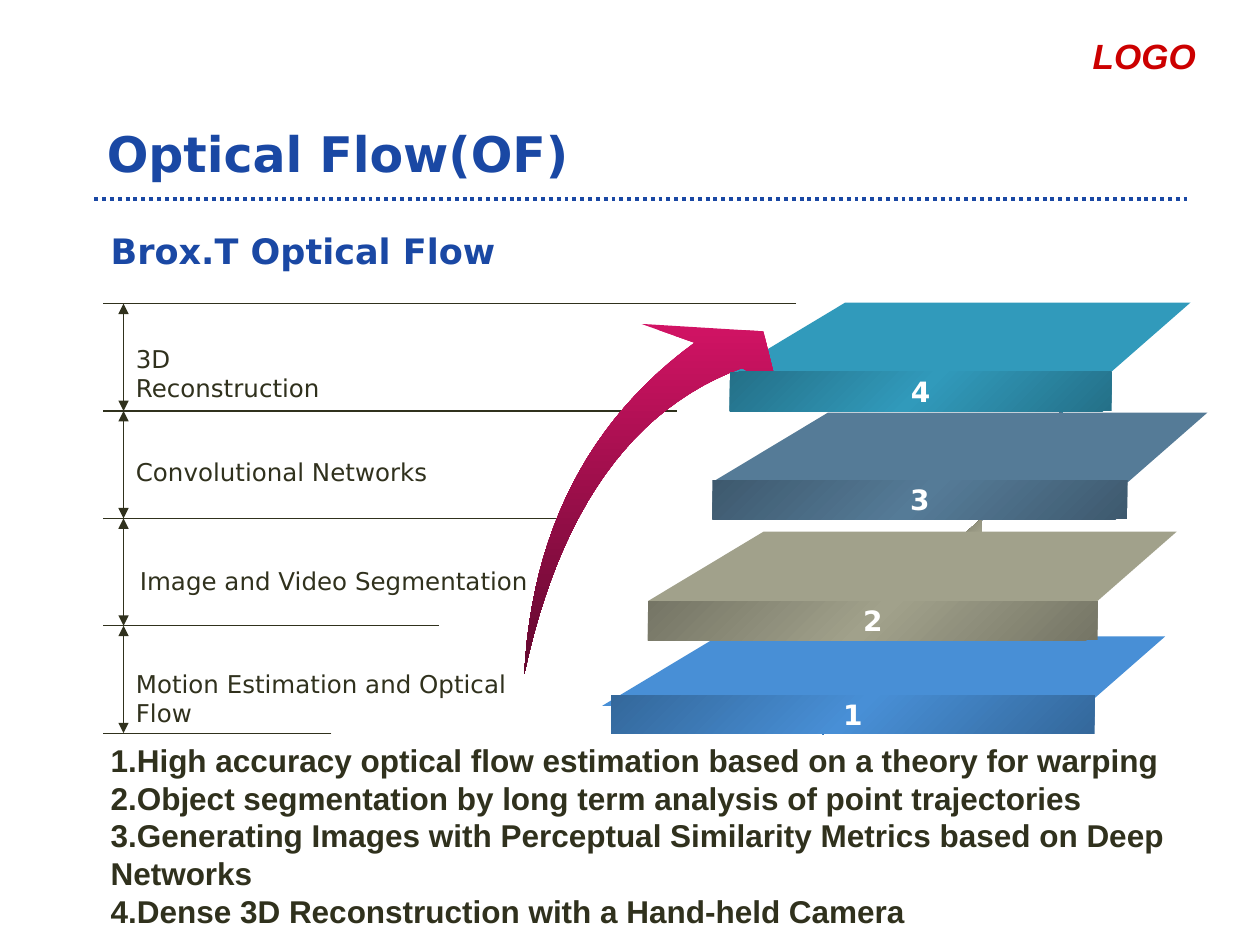
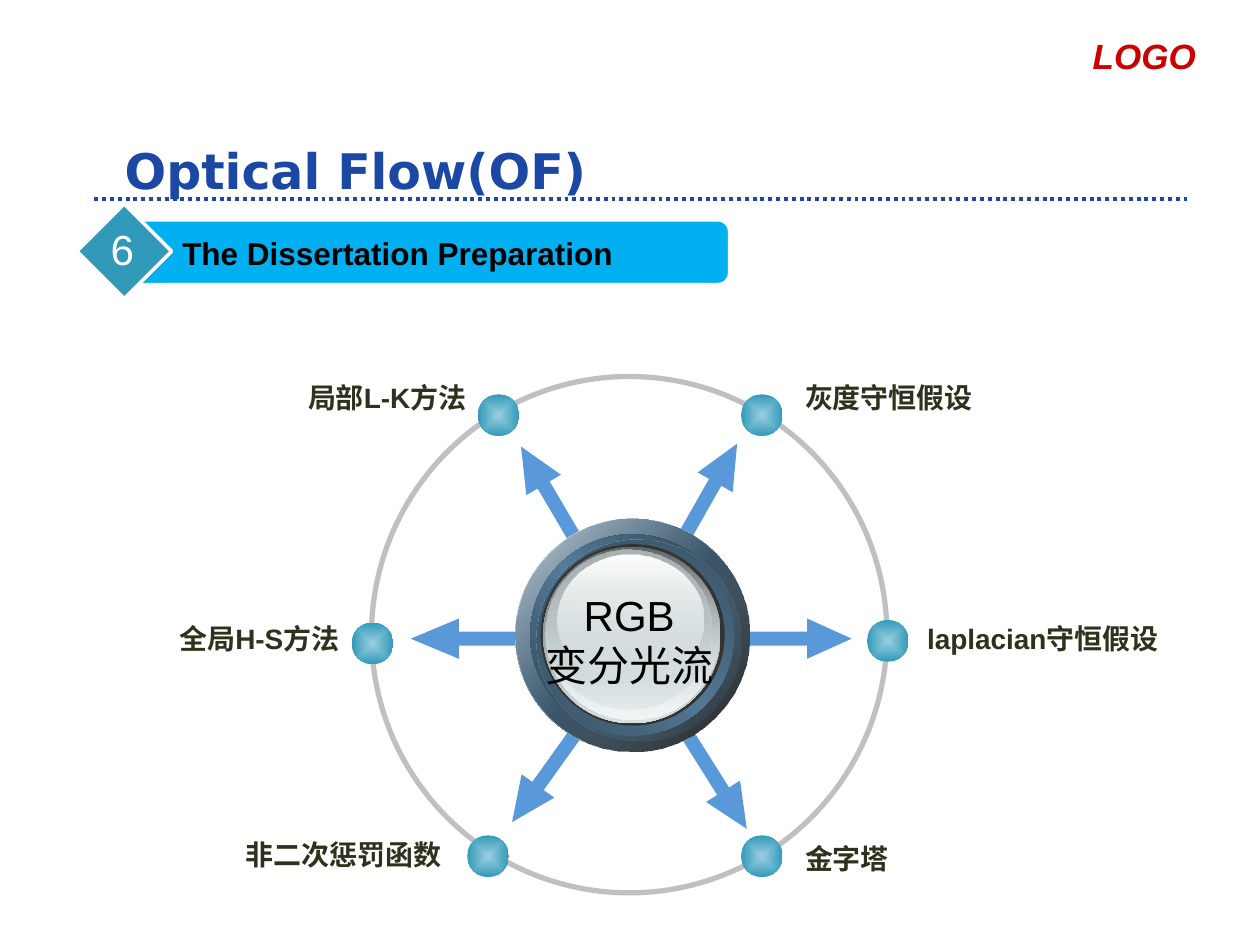
from pptx import Presentation
from pptx.dml.color import RGBColor as RGB
from pptx.enum.dml import MSO_LINE as Dash
from pptx.enum.shapes import MSO_CONNECTOR as Conn, MSO_SHAPE as Kind
from pptx.enum.text import MSO_ANCHOR as Anchor, MSO_AUTO_SIZE as Fit, PP_ALIGN as Align
from pptx.oxml import parse_xml
from pptx.oxml.ns import nsdecls, qn
from pptx.util import Cm, Pt

INK = {
    "title": "1A48A4", "text": "30311D", "logo": "CC0000", "white": "FFFFFF",
    "black": "000000", "sky": "00B0F0", "teal": "319ABB", "pale": "9BCEDE",
    "steel": "557B97", "sand": "A1A18B", "blue": "488FD6", "ring": "C0C0C0",
    "teal_dim": "247088", "steel_dim": "3E596E", "sand_dim": "757565", "blue_dim": "34689B",
    "teal_deep": "174757", "steel_deep": "273946", "sand_deep": "4B4B40", "blue_deep": "214263",
    "pink": "D11364", "wine": "61092E", "rim": "2E4352", "rim_lit": "364E60",
    "coal": "333333", "lead": "636869", "glass": "D6E1E2", "frost": "F1F5F5", "ash": "AAB2B3",
}
HEAD, BODY = "DejaVu Sans", "Arial"
TOP, STEP = 6.12, 2.165  # first level and gap between levels, cm


def ink(name):
    return RGB.from_string(INK[name])


def tint(name, alpha=100):
    return f'<a:srgbClr val="{INK[name]}"><a:alpha val="{alpha * 1000}"/></a:srgbClr>'


def flat(name, alpha=100):
    return f'<a:solidFill {nsdecls("a")}>{tint(name, alpha)}</a:solidFill>'


def blend(*stops, angle=None):
    """Gradient of evenly spaced (name, alpha) stops; from the centre if no angle."""
    last = len(stops) - 1
    marks = "".join(f'<a:gs pos="{100000 * i // last}">{tint(*s)}</a:gs>'
                    for i, s in enumerate(stops))
    if angle is None:
        way = ('<a:path path="rect"><a:fillToRect l="50000" t="50000" '
               'r="50000" b="50000"/></a:path>')
    else:
        way = f'<a:lin ang="{angle * 60000}" scaled="0"/>'
    return f'<a:gradFill {nsdecls("a")}><a:gsLst>{marks}</a:gsLst>{way}</a:gradFill>'


def sheen(edge, core, angle=45):
    return blend((edge,), (core,), (edge,), angle=angle)


def paint(shape, fill, line=None):
    """Set the fill XML and an optional (colour, width) line."""
    shape.shadow.inherit = False
    if fill:
        shape.fill.solid()
        props = shape.element.spPr
        props.replace(props.find(qn("a:solidFill")), parse_xml(fill))
    else:
        shape.fill.background()
    if line:
        shape.line.color.rgb, shape.line.width = ink(line[0]), Pt(line[1])
    else:
        shape.line.fill.background()
    return shape


def form(slide, kind, box, fill, line=None):
    return paint(slide.shapes.add_shape(kind, *map(Cm, box)), fill, line)


def shape_of(slide, points, fill):
    """Closed outline through points given in cm."""
    first, *rest = [(Cm(x), Cm(y)) for x, y in points]
    pen = slide.shapes.build_freeform(*first, scale=1.0)
    pen.add_line_segments(rest, close=True)
    return paint(pen.convert_to_shape(), fill)


def rule(slide, start, end, color, width, dash=None, heads=False):
    line = slide.shapes.add_connector(Conn.STRAIGHT, *map(Cm, (*start, *end)))
    line.line.color.rgb, line.line.width = ink(color), Pt(width)
    if dash:
        line.line.dash_style = dash
    props = line.element.spPr
    if heads:
        for tag in ("headEnd", "tailEnd"):
            props.find(qn("a:ln")).append(
                parse_xml(f'<a:{tag} {nsdecls("a")} type="triangle"/>'))
    props.append(parse_xml(f'<a:effectLst {nsdecls("a")}/>'))


def write(shape, lines, size, color, font=BODY, bold=False, slant=False,
          align=Align.LEFT, anchor=Anchor.TOP, wrap=True):
    frame = shape.text_frame
    frame.word_wrap, frame.vertical_anchor = wrap, anchor
    frame.auto_size = Fit.NONE
    for i, line in enumerate(lines):
        para = frame.add_paragraph() if i else frame.paragraphs[0]
        para.alignment = align
        run = para.add_run()
        run.text = line
        face = run.font
        face.name, face.size, face.bold, face.italic = font, Pt(size), bold, slant
        face.color.rgb = ink(color)


def label(slide, box, lines, size, color, **style):
    write(slide.shapes.add_textbox(*map(Cm, box)), lines, size, color, **style)


def start(deck, left, top):
    """New slide with the shared title, dotted rule and corner mark."""
    slide = deck.slides.add_slide(deck.slide_layouts[5])
    title = slide.shapes.title
    title.left, title.top, title.width, title.height = map(Cm, (left, top, 18.85, 1.47))
    write(title, ["Optical Flow(OF)"], 28, "title", font=HEAD, bold=True,
          anchor=Anchor.MIDDLE)
    rule(slide, (1.9, 4.01), (23.93, 4.01), "title", 2.25, Dash.ROUND_DOT)
    label(slide, (16.31, 0.58, 8.05, 0.69), ["LOGO"], 20, "logo",
          bold=True, slant=True, align=Align.RIGHT)
    return slide


def levels(slide):
    ends = (16.05, 13.64, 11.38, 8.84, 6.68)
    rows = [TOP + STEP * i for i in range(len(ends))]
    for end, y in zip(ends, rows):
        rule(slide, (end, y), (2.08, y), "text", 0.75)
    for y, below in zip(rows, rows[1:]):
        rule(slide, (2.49, y), (2.49, below), "text", 0.75, heads=True)
    for text, x, y, wide in (
            ("3D Reconstruction", 2.49, 6.81, 5.05),
            ("Convolutional Networks", 2.49, 9.09, 9.4),
            ("Image and Video Segmentation", 2.57, 11.28, 8.5),
            ("Motion Estimation and Optical Flow", 2.49, 13.36, 9.22)):
        label(slide, (x, y, wide, 0.86), [text], 14, "text", font=HEAD)


def bend(begin, pull, end, count=24):
    """Points along a quadratic curve."""
    steps = [i / count for i in range(count + 1)]
    return [tuple((1 - t) ** 2 * a + 2 * t * (1 - t) * b + t * t * c
                  for a, b, c in zip(begin, pull, end)) for t in steps]


def swoosh(slide):
    tail = (10.57, 13.59)
    outer = bend(tail, (10.8, 9.27), (14, 6.91))
    head = [(12.93, 6.53), (15.39, 6.68), (15.67, 7.82)]
    inner = bend((14.96, 7.42), (11.63, 8.64), tail)
    shape_of(slide, outer + head + inner[:-1], blend(("pink",), ("wine",), angle=90))


def stack(slide):
    # colour, left of lid, right of lid, top of lid, box of front
    slabs = (("teal", 14.71, 22.4, 6.1, (14.71, 7.5, 7.7, 0.79)),
             ("steel", 14.36, 22.74, 8.32, (14.36, 9.68, 8.37, 0.79)),
             ("sand", 13.06, 22.12, 10.72, (13.06, 12.12, 9.07, 0.79)),
             ("blue", 12.14, 21.89, 12.83, (12.32, 14.02, 9.75, 0.77)))
    for i, (hue, *_) in enumerate(slabs):
        x, y = 21.41 - 1.61 * i, TOP + STEP * i
        shape_of(slide, [(x + 1.6, y + 0.61), (x, y + 2.2), (x, y + 1.42), (x + 1.6, y)],
                 sheen(hue + "_deep", hue))
    for hue, left, right, y, _ in slabs:
        shape_of(slide, [(right, y + 1.4), (left, y + 1.4), (left + 2.33, y),
                         (right + 1.6, y)], flat(hue))
    swoosh(slide)
    for i, (hue, *_, box) in enumerate(slabs):
        front = form(slide, Kind.RECTANGLE, box, sheen(hue + "_dim", hue))
        write(front, [str(len(slabs) - i)], 16, "white", font=HEAD, bold=True,
              align=Align.CENTER, anchor=Anchor.MIDDLE, wrap=False)


def spokes(slide):
    for x, y, wide, turn in ((13.21, 9.5, 2.21, 299.6), (13.36, 15.37, 2.21, 57.8),
                             (9.96, 9.55, 2.21, 239.5), (9.86, 15.27, 2.21, 125.6),
                             (14.96, 12.47, 2.21, 0), (8.28, 12.47, 2.39, 180)):
        arrow = form(slide, Kind.RIGHT_ARROW, (x, y, wide, 0.81), flat("blue", 90))
        arrow.adjustments[0], arrow.adjustments[1] = 0.35, wide / 2
        arrow.rotation = turn


def nodes(slide):
    form(slide, Kind.OVAL, (7.49, 7.59, 10.39, 10.41), None, ("ring", 3))
    left, right = Align.LEFT, Align.RIGHT
    for text, x, y, wide, align, dot in (
            ("灰度守恒假设", 15.98, 7.54, 3.89, left, (14.94, 7.95)),
            ("局部L-K方法", 5.69, 7.54, 3.96, right, (9.63, 7.95)),
            ("laplacian守恒假设", 18.44, 12.4, 5.31, left, (17.48, 12.5)),
            ("金字塔", 15.98, 16.84, 2.18, left, (14.94, 16.84)),
            ("全局H-S方法", 3.1, 12.4, 3.99, right, (7.09, 12.55)),
            ("非二次惩罚函数", 4.7, 16.76, 4.45, right, (9.42, 16.84))):
        label(slide, (x, y, wide, 0.94), [text], 16, "text", bold=True,
              align=align, wrap=False)
        form(slide, Kind.OVAL, (*dot, 0.84, 0.84), blend(("pale",), ("teal",)))


def hub(slide):
    for box, fill in (
            ((10.39, 10.46, 4.72, 4.7), sheen("white", "steel")),
            ((10.39, 10.46, 4.72, 4.7), blend(("steel", 32), ("black", 90), angle=45)),
            ((10.69, 10.77, 4.11, 4.06), sheen("rim", "steel", 315)),
            ((10.82, 10.87, 4.11, 4.06), blend(("rim_lit",), ("steel", 0), angle=45)),
            ((10.9, 10.97, 3.71, 3.66), flat("coal")),
            ((10.95, 11.02, 3.58, 3.56), blend(("lead",), ("glass",), angle=90)),
            ((11, 11.05, 3.51, 3.45), blend(("glass", 0), ("frost",), angle=90)),
            ((11.02, 11.07, 3.33, 3.23), blend(("ash",), ("glass", 48), angle=90)),
            ((11.23, 11.18, 2.95, 2.62), blend(("white",), ("glass", 38), angle=90))):
        form(slide, Kind.OVAL, box, fill)
    label(slide, (10.74, 11.76, 3.89, 2.29), ["RGB", "变分光流"], 24, "black",
          align=Align.CENTER, wrap=False)


def banner(slide):
    bar = form(slide, Kind.ROUNDED_RECTANGLE, (2.62, 4.45, 12.07, 1.27),
               flat("sky"), ("white", 1))
    bar.adjustments[0] = 0.17
    form(slide, Kind.DIAMOND, (1.55, 4.11, 1.91, 1.91), flat("teal"), ("white", 2))
    label(slide, (3.25, 4.6, 9.53, 1.02), ["The Dissertation Preparation"], 18, "black",
          bold=True, align=Align.CENTER)
    label(slide, (1.98, 4.39, 0.97, 1.27), ["6"], 24, "white",
          align=Align.CENTER, wrap=False)


def main():
    deck = Presentation()
    deck.slide_width, deck.slide_height = Cm(25.4), Cm(19.05)

    flow = start(deck, 1.9, 2.34)
    levels(flow)
    stack(flow)
    label(flow, (1.98, 4.32, 18.85, 1.47), ["Brox.T Optical Flow"], 20, "title",
          font=HEAD, bold=True, anchor=Anchor.MIDDLE)
    label(flow, (1.98, 14.81, 22.28, 4.2), [
        "1.High accuracy optical flow estimation based on a theory for warping",
        "2.Object segmentation by long term analysis of point trajectories",
        "3.Generating Images with Perceptual Similarity Metrics based on Deep Networks",
        "4.Dense 3D Reconstruction with a Hand-held Camera"], 18, "text", bold=True)

    wheel = start(deck, 2.26, 2.69)
    spokes(wheel)
    nodes(wheel)
    hub(wheel)
    banner(wheel)

    deck.save("out.pptx")


if __name__ == "__main__":
    main()
